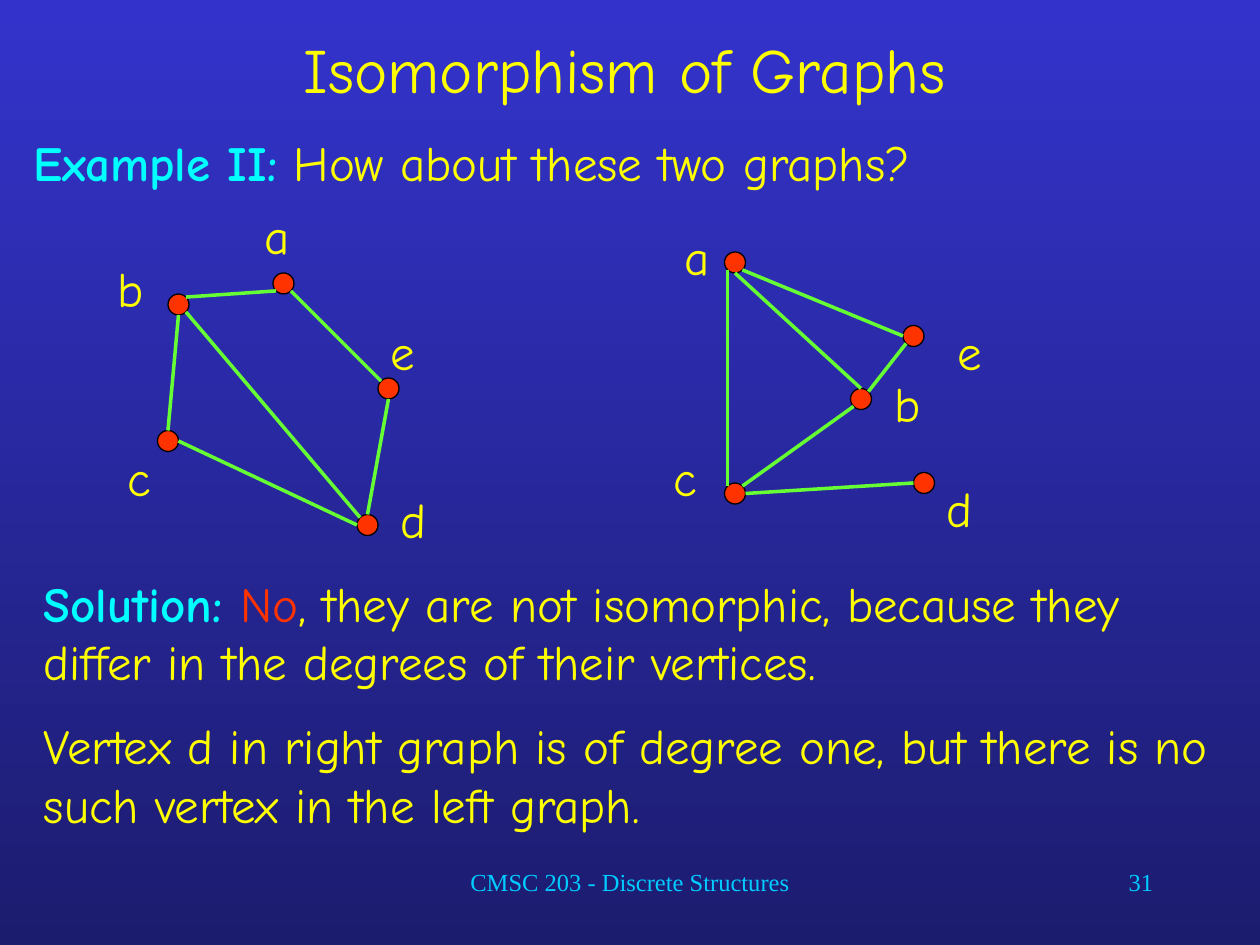
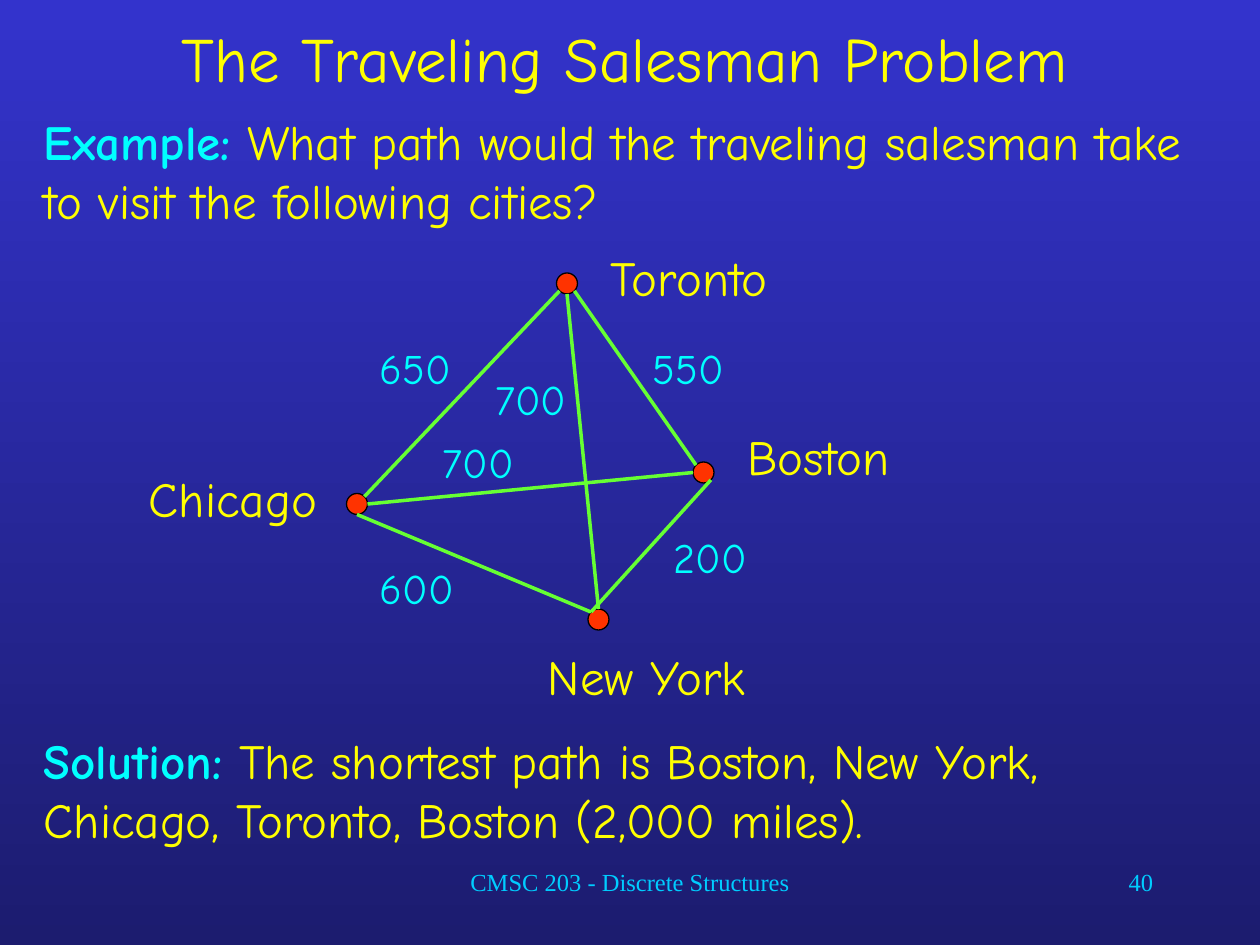
from math import cos, radians, sin

from lxml import etree
from pptx import Presentation
from pptx.dml.color import RGBColor as RGB
from pptx.enum.shapes import MSO_CONNECTOR as CONN, MSO_SHAPE as SHAPE
from pptx.enum.text import MSO_ANCHOR as ANCHOR, PP_ALIGN as ALIGN
from pptx.oxml.ns import qn
from pptx.util import Pt

COLORS = {
    "top": "3333CC", "bottom": "1C1C6F", "text": "FFFF00", "key": "00FFFF",
    "red": "FF3300", "edge": "66FF33", "outline": "000000", "footer": "00CCFF",
}
HAND, SERIF = "Comic Neue", "Times New Roman"
FOOTER = "CMSC 203 - Discrete Structures"
DOT = 12
COMPASS = {"E": 0, "SE": 45, "S": 90, "SW": 135, "W": 180, "NW": 225, "N": 270, "NE": 315}

SLIDES = [
    {
        "title": "Isomorphism of Graphs", "title_height": 78, "number": "31",
        "bodies": [
            ((12, 72, 696, 42), [
                [("Example II:", "key"), (" How about these two graphs?", "text")],
            ]),
            ((18, 324, 690, 144), [
                [("Solution: ", "key"), ("No", "red"),
                 (", they are not isomorphic, because they differ in the degrees "
                  "of their vertices.", "text")],
                [("Vertex d in right graph is of degree one, but there is no such "
                  "vertex in the left graph.", "text")],
            ]),
        ],
        "graphs": [
            {
                "nodes": {
                    "a": ((156, 156), (144, 114, 48)),
                    "b": ((96, 168), (60, 144, 24)),
                    "c": ((90, 246), (66, 252, 30)),
                    "d": ((204, 294), (222, 276, 48)),
                    "e": ((216, 216), (216, 180, 48)),
                },
                "edges": [
                    ("d", "N", "e", "S"), ("d", "W", "c", "E"), ("c", "N", "b", "S"),
                    ("b", "NE", "a", "SW"), ("a", "SE", "e", "NW"), ("b", "SE", "d", "NW"),
                ],
                "weights": [],
            },
            {
                "nodes": {
                    "a": ((414, 144), (384, 126, 48)),
                    "b": ((486, 222), (504, 210, 24)),
                    "c": ((414, 276), (378, 252, 30)),
                    "d": ((522, 270), (534, 270, 48)),
                    "e": ((516, 186), (540, 180, 48)),
                },
                "edges": [
                    ("c", "E", "d", "W"), ("c", "NE", "b", "SW"), ("b", "N", "a", "S"),
                    ("a", "SE", "e", "W"), ("e", "SW", "b", "NE"), ("a", "SW", "c", "NW"),
                ],
                "weights": [],
            },
        ],
    },
    {
        "title": "The Traveling Salesman Problem", "title_height": 66, "number": "40",
        "bodies": [
            ((18, 60, 690, 84), [
                [("Example:", "key"),
                 (" What path would the traveling salesman take to visit the "
                  "following cities?", "text")],
            ]),
            ((18, 414, 690, 84), [
                [("Solution:", "key"),
                 (" The shortest path is Boston, New York, Chicago, Toronto, "
                  "Boston (2,000 miles).", "text")],
            ]),
        ],
        "graphs": [
            {
                "nodes": {
                    "Chicago": ((198, 282), (78, 264, 120)),
                    "New York": ((336, 348), (306, 366, 168)),
                    "Boston": ((396, 264), (420, 240, 120)),
                    "Toronto": ((318, 156), (342, 138, 120)),
                },
                "edges": [
                    ("Toronto", "SW", "Chicago", "NE"), ("Chicago", "S", "New York", "NW"),
                    ("Boston", "SE", "New York", "NW"), ("Chicago", "E", "Boston", "W"),
                    ("Toronto", "SE", "Boston", "NW"), ("Toronto", "S", "New York", "N"),
                ],
                "weights": [
                    ("600", 210, 318), ("700", 246, 246), ("200", 378, 300),
                    ("650", 210, 192), ("550", 366, 192), ("700", 276, 210),
                ],
            },
        ],
    },
]


def color(name):
    return RGB.from_string(COLORS[name])


def add_text(shapes, box, paragraphs, size, font=HAND, align=ALIGN.LEFT,
             anchor=ANCHOR.TOP, before=0, after=0):
    tf = shapes.add_textbox(*map(Pt, box)).text_frame
    tf.word_wrap = True
    tf.vertical_anchor = anchor
    for i, runs in enumerate(paragraphs):
        p = tf.add_paragraph() if i else tf.paragraphs[0]
        p.alignment = align
        p.space_before, p.space_after = Pt(before), Pt(after)
        p.font.name, p.font.size = font, Pt(size)
        for text, name in runs:
            r = p.add_run()
            r.text = text
            r.font.color.rgb = color(name)
            if name == "key" and len(runs) > 1:
                r.font.bold = True


def add_label(shapes, text, x, y, width, size=28, name="text"):
    add_text(shapes, (x, y, width, size * 1.46), [[(text, name)]], size,
             before=size * 0.625)


def rim_point(corner, side):
    x, y = corner
    angle, radius = radians(COMPASS[side]), DOT / 2
    return x + radius + radius * cos(angle), y + radius + radius * sin(angle)


def add_graph(s, graph):
    shapes = s.shapes.add_group_shape().shapes
    nodes = graph["nodes"]
    for text, ((x, y), label) in nodes.items():
        sp = shapes.add_shape(SHAPE.FLOWCHART_CONNECTOR, Pt(x), Pt(y), Pt(DOT), Pt(DOT))
        sp.shadow.inherit = False
        sp.fill.solid()
        sp.fill.fore_color.rgb = color("red")
        sp.line.color.rgb = color("outline")
        sp.line.width = Pt(0.75)
        add_label(shapes, text, *label)
    for start, start_side, end, end_side in graph["edges"]:
        ends = rim_point(nodes[start][0], start_side) + rim_point(nodes[end][0], end_side)
        edge = shapes.add_connector(CONN.STRAIGHT, *map(Pt, ends))
        edge.line.color.rgb = color("edge")
        edge.line.width = Pt(2)
        etree.SubElement(edge._element.spPr, qn("a:effectLst"))
    for text, x, y in graph["weights"]:
        add_label(shapes, text, x, y, 78, 24, "key")


def add_slide(prs, content):
    s = prs.slides.add_slide(prs.slide_layouts[6])
    add_text(s.shapes, (204, 492, 312, 36), [[(FOOTER, "footer")]], 14, SERIF, ALIGN.CENTER)
    add_text(s.shapes, (516, 492, 150, 36), [[(content["number"], "footer")]], 14, SERIF,
             ALIGN.RIGHT)
    add_text(s.shapes, (18, 0, 678, content["title_height"]), [[(content["title"], "text")]],
             36, align=ALIGN.CENTER, anchor=ANCHOR.MIDDLE)
    for box, paragraphs in content["bodies"]:
        add_text(s.shapes, box, paragraphs, 28, before=7, after=7)
    for graph in content["graphs"]:
        add_graph(s, graph)


def main():
    prs = Presentation()
    prs.slide_width, prs.slide_height = Pt(720), Pt(540)
    fill = prs.slide_master.background.fill
    fill.gradient()
    fill.gradient_angle = 270
    for stop, name in zip(fill.gradient_stops, ("top", "bottom")):
        stop.color.rgb = color(name)
    for content in SLIDES:
        add_slide(prs, content)
    prs.save("out.pptx")


if __name__ == "__main__":
    main()
